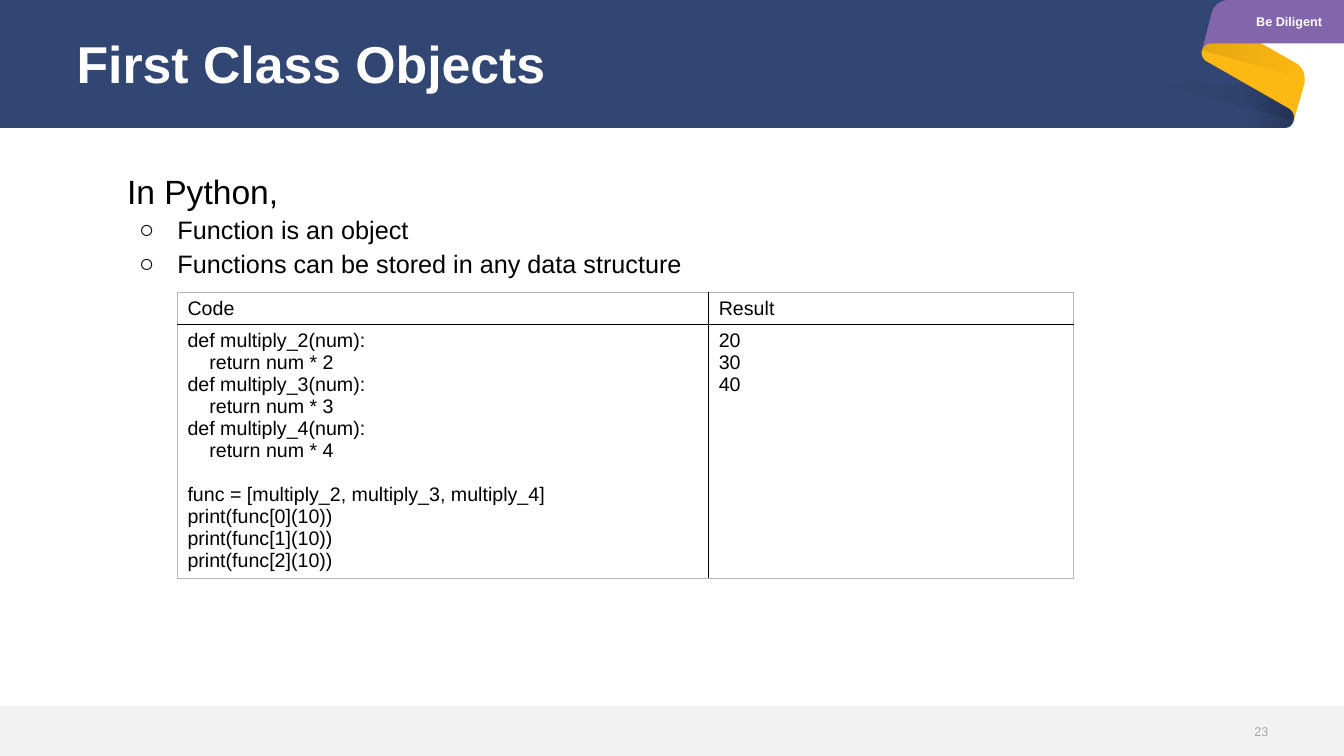
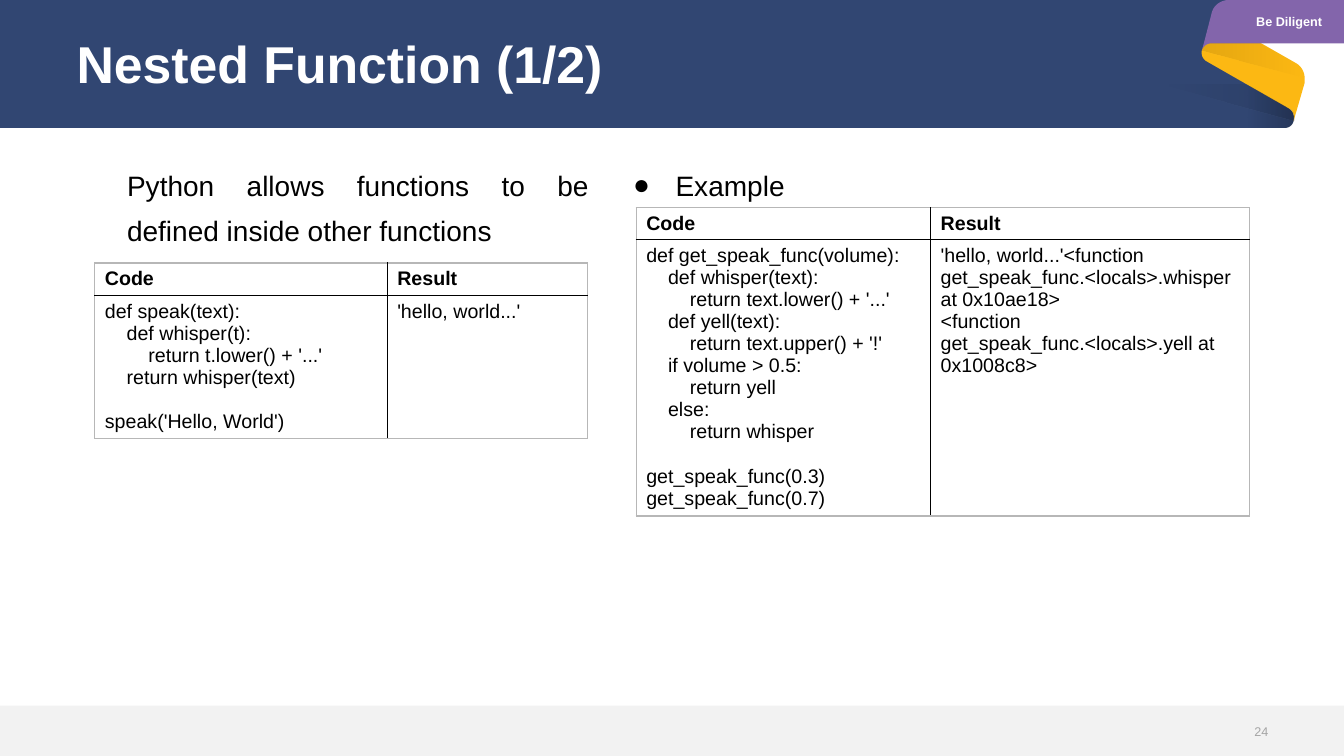
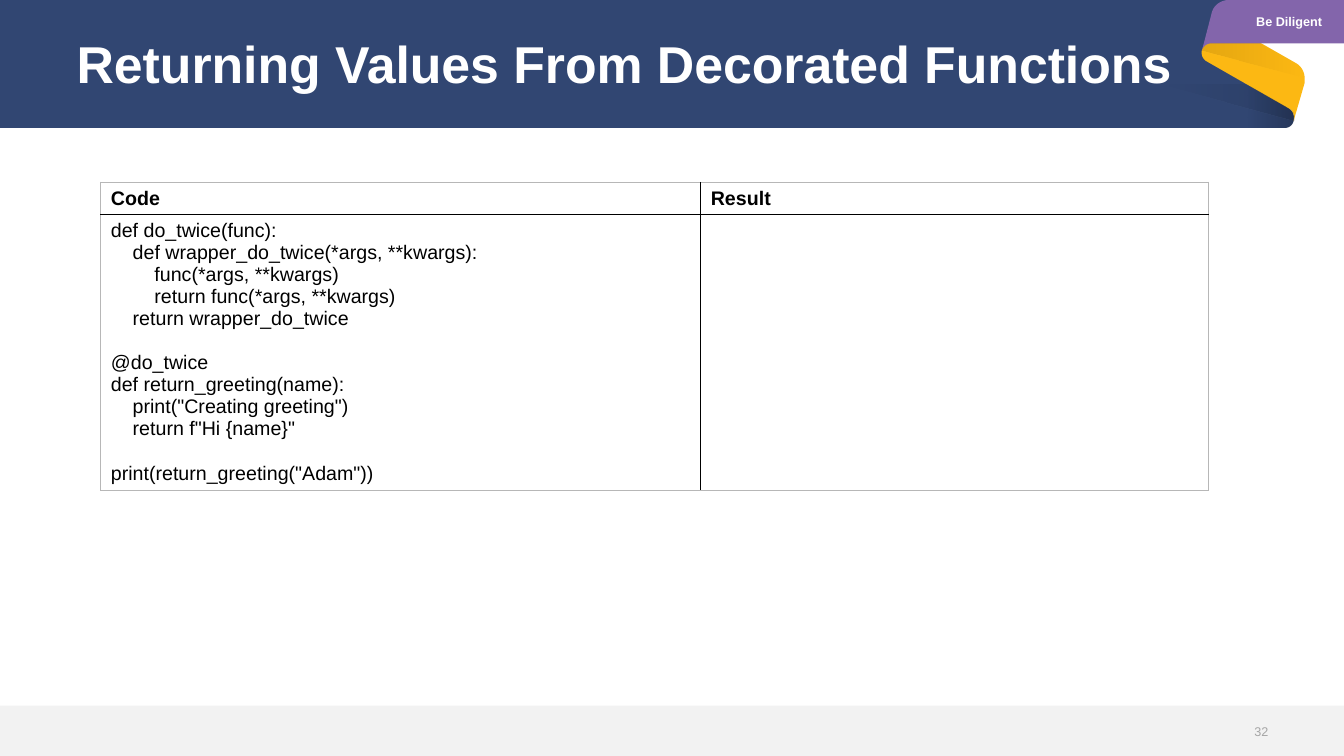
import pptx
import pptx.util
import pptx.oxml
import pptx.oxml.ns
import pptx.dml.color
import pptx.enum.text
import pptx.enum.shapes

Inches = pptx.util.Inches
Pt = pptx.util.Pt
ALIGN = pptx.enum.text.PP_ALIGN
MIDDLE = pptx.enum.text.MSO_ANCHOR.MIDDLE
TOP = pptx.enum.text.MSO_ANCHOR.TOP
FONT = "Arial"
HUE = {
    "navy": "314672", "gold": "FCB813", "plum": "8365AB", "foot": "F2F2F2",
    "white": "FFFFFF", "ink": "000000", "page": "A5A5A5", "edge": "B7B7B7",
}
TITLE = (0.76, 0.06, 11.81, 1.2)
BODY = (0.76, 1.56, 11.81, 5.19)
LEFT = (0.76, 1.56, 5.08, 5.19)
RIGHT = (6.2, 1.56, 5.08, 5.19)
FOOT = (0, 7, 13.33, 0.5)
TAG = (12.24, 0, 1.09, 0.43)
PAGE = (11.95, 7.13, 0.63, 0.26)
CODE = 14
TAB = 0.216
LINE = 0.22
PAD = 0.1

CURL = (12.83, 1.11, 12.84, 1.15, 12.83, 1.2)
FOLD = (12.94, 0.72, 12.91, 0.66, 12.86, 0.63)
RIBBON = [
    ("navy", [(0, 0), (12.43, 0), (12.43, 0.72), (12.79, 1.08), CURL,
              (12.82, 1.24, 12.79, 1.27, 12.74, 1.27), (0, 1.27)]),
    ("gold", [(11.97, 0.61), (12.79, 1.08), CURL, (12.94, 0.82),
              (12.94, 0.78), FOLD, (12.44, 0.39), (12.02, 0.41),
              (11.97, 0.41, 11.93, 0.46, 11.92, 0.5),
              (11.91, 0.54, 11.93, 0.59, 11.97, 0.61)]),
    ("plum", [(11.92, 0.5), (11.93, 0.46, 11.97, 0.43, 12.02, 0.43),
              (13.34, 0.43), (13.34, 0), (12.19, 0),
              (12.11, 0, 12.04, 0.05, 12.02, 0.12), (11.94, 0.43)]),
    ((20, 180), [(12.37, 0.84), (12.37, 1.27), (12.74, 1.27),
                 (12.79, 1.27, 12.82, 1.24, 12.83, 1.2),
                 (12.84, 1.15, 12.83, 1.11, 12.79, 1.08)]),
    ((10, 180), [(11.52, 0.84), (12.83, 1.2),
                 (12.84, 1.15, 12.83, 1.11, 12.79, 1.08), (12.37, 0.84)]),
    ((10, 0), [(11.92, 0.5), (12.94, 0.77), FOLD, (12.5, 0.43),
               (12.02, 0.43), (11.97, 0.43, 11.93, 0.46, 11.92, 0.5)]),
]

KINDS = {
    "lead": dict(size=24, left=0.5, line=1.33, align=ALIGN.JUSTIFY),
    "text": dict(size=20, left=0.5, line=1.33, align=ALIGN.JUSTIFY),
    "dot": dict(size=20, left=0.5, hang=-0.42, line=1.33, mark="●",
                align=ALIGN.JUSTIFY),
    "ring": dict(size=18, left=1, hang=-0.38, line=0.9, before=5, mark="○",
                 level=1),
}

SLIDES = [
    {
        "title": "First Class Objects", "page": "23", "layout": 1,
        "lists": [(BODY, [("lead", "In Python,"),
                          ("ring", "Function is an object"),
                          ("ring", "Functions can be stored in any data structure")])],
        "tables": [{"at": (1.76, 2.9), "cols": (5.27, 3.62), "bold": False, "code": """\
def multiply_2(num):
    return num * 2
def multiply_3(num):
    return num * 3
def multiply_4(num):
    return num * 4

func = [multiply_2, multiply_3, multiply_4]
print(func[0](10))
print(func[1](10))
print(func[2](10))""", "result": "20\n30\n40"}],
    },
    {
        "title": "Nested Function (1/2)", "page": "24", "layout": 3,
        "lists": [(LEFT, [("text", "Python allows functions to be defined inside other functions")]),
                  (RIGHT, [("dot", "Example")])],
        "tables": [{"at": (0.94, 2.61), "cols": (2.9, 1.99), "bold": True, "code": """\
def speak(text):
    def whisper(t):
        return t.lower() + '...'
    return whisper(text)

speak('Hello, World')""", "result": "'hello, world...'"},
                   {"at": (6.31, 2.06), "cols": (2.92, 3.16), "bold": True, "code": """\
def get_speak_func(volume):
    def whisper(text):
        return text.lower() + '...'
    def yell(text):
        return text.upper() + '!'
    if volume > 0.5:
        return yell
    else:
        return whisper

get_speak_func(0.3)
get_speak_func(0.7)""", "result": """\
'hello, world...'<function get_speak_func.<locals>.whisper at 0x10ae18>
<function get_speak_func.<locals>.yell at 0x1008c8>"""}],
    },
    {
        "title": "Returning Values From Decorated Functions", "page": "32", "layout": 5,
        "lists": [],
        "tables": [{"at": (1, 1.81), "cols": (5.95, 5.04), "bold": True, "code": """\
def do_twice(func):
    def wrapper_do_twice(*args, **kwargs):
        func(*args, **kwargs)
        return func(*args, **kwargs)
    return wrapper_do_twice

@do_twice
def return_greeting(name):
    print("Creating greeting")
    return f"Hi {name}"

print(return_greeting("Adam"))""", "result": ""}],
    },
]


def color(name):
    return pptx.dml.color.RGBColor.from_string(HUE[name])


def node(xml):
    head, tail = xml.split(" ", 1)
    return pptx.oxml.parse_xml(f"{head} {pptx.oxml.ns.nsdecls('a')} {tail}")


def place(shape, box):
    shape.left, shape.top, shape.width, shape.height = map(Inches, box)


def frame(shape, anchor):
    area = shape.text_frame
    area.word_wrap = True
    area.auto_size = pptx.enum.text.MSO_AUTO_SIZE.NONE
    area.vertical_anchor = anchor
    area.margin_left = area.margin_right = 0
    area.margin_top = area.margin_bottom = 0
    return area


def write(para, text, size, hue="ink", bold=False, align=ALIGN.LEFT, left=0,
          hang=0, line=1, before=0, mark=None, level=0):
    para.level = level
    para.alignment = align
    para.line_spacing = line
    para.space_before = Pt(before)
    props = para._p.get_or_add_pPr()
    props.set("marL", str(Inches(left)))
    props.set("indent", str(Inches(hang)))
    if mark:
        props.append(node(f'<a:buClr ><a:srgbClr val="{HUE[hue]}"/></a:buClr>'))
        props.append(node(f'<a:buFont typeface="{FONT}"/>'))
        props.append(node(f'<a:buChar char="{mark}"/>'))
    else:
        props.append(node("<a:buNone />"))
    run = para.add_run()
    run.text = text
    run.font.name = FONT
    run.font.size = Pt(size)
    run.font.bold = bold
    run.font.color.rgb = color(hue)


def label(slide, box, text, **look):
    shape = slide.shapes.add_textbox(*map(Inches, box))
    write(frame(shape, MIDDLE).paragraphs[0], text, 9, **look)
    return shape


def trace(points, steps=8):
    spots = [points[0]]
    for point in points[1:]:
        if len(point) == 2:
            spots.append(point)
            continue
        knots = [spots[-1], point[:2], point[2:4], point[4:]]
        for step in range(1, steps + 1):
            t = step / steps
            rates = ((1 - t) ** 3, 3 * t * (1 - t) ** 2, 3 * t * t * (1 - t), t ** 3)
            spots.append(tuple(sum(r * k[axis] for r, k in zip(rates, knots))
                               for axis in (0, 1)))
    return [(Inches(x), Inches(y)) for x, y in spots]


def paint(shape, fill):
    shape.shadow.inherit = False
    shape.line.fill.background()
    if isinstance(fill, str):
        shape.fill.solid()
        shape.fill.fore_color.rgb = color(fill)
        return
    shape.fill.background()
    dark, angle = fill
    stops = "".join(
        f'<a:gs pos="{pos}"><a:srgbClr val="{HUE["ink"]}">'
        f'<a:alpha val="{alpha * 1000}"/></a:srgbClr></a:gs>'
        for pos, alpha in ((0, dark), (100000, 0)))
    blend = node(f'<a:gradFill rotWithShape="1"><a:gsLst>{stops}</a:gsLst>'
                 f'<a:lin ang="{angle * 60000}" scaled="0"/></a:gradFill>')
    blank = shape.element.spPr.find(pptx.oxml.ns.qn("a:noFill"))
    blank.getparent().replace(blank, blend)


def dress(master, slide):
    parts = []
    for fill, points in RIBBON:
        spots = trace(points)
        pen = slide.shapes.build_freeform(*spots[0], scale=1.0)
        pen.add_line_segments(spots[1:], close=True)
        shape = pen.convert_to_shape()
        paint(shape, fill)
        parts.append(shape)
    foot = slide.shapes.add_shape(pptx.enum.shapes.MSO_SHAPE.RECTANGLE,
                                  *map(Inches, FOOT))
    foot.width = Inches(13.34)
    paint(foot, "foot")
    parts.append(foot)
    parts.append(label(slide, TAG, "Be Diligent", hue="white", bold=True,
                       align=ALIGN.CENTER))
    for count, shape in enumerate(parts):
        shape.element.nvSpPr.cNvPr.set("id", str(100 + count))
        master.shapes.element.append(shape.element)


def border(cell, sides):
    props = cell._tc.get_or_add_tcPr()
    for spot, (side, hue) in enumerate(zip("LRTB", sides)):
        props.insert(spot, node(
            f'<a:ln{side} w="{Pt(1)}"><a:solidFill><a:srgbClr val="{HUE[hue]}"/>'
            f'</a:solidFill></a:ln{side}>'))


def fill(cell, text, bold):
    area = cell.text_frame
    para, gap = area.paragraphs[0], 0
    for line in text.splitlines():
        bare = line.lstrip()
        if not bare:
            gap = LINE * 72
            continue
        if para.runs:
            para = area.add_paragraph()
        depth = (len(line) - len(bare)) // 4
        write(para, bare, CODE, bold=bold, left=depth * TAB, before=gap)
        gap = 0


def grid(slide, data):
    rows = [("Code", "Result"), (data["code"], data["result"])]
    highs = [PAD + LINE * len(row[0].splitlines()) for row in rows]
    box = (*data["at"], sum(data["cols"]), sum(highs))
    table = slide.shapes.add_table(2, 2, *map(Inches, box)).table
    table.first_row = table.horz_banding = False
    for column, wide in zip(table.columns, data["cols"]):
        column.width = Inches(wide)
    for r, row in enumerate(rows):
        table.rows[r].height = Inches(highs[r])
        for c, text in enumerate(row):
            cell = table.cell(r, c)
            cell.fill.background()
            fill(cell, text, data["bold"] and r == 0)
            border(cell, ("ink" if c else "edge", "edge" if c else "ink",
                          "ink" if r else "edge", "edge" if r else "ink"))


def build(slide, data):
    write(frame(slide.shapes.title, MIDDLE).paragraphs[0], data["title"], 37,
          hue="white", bold=True, line=0.9)
    bodies = [p for p in slide.placeholders if p.placeholder_format.idx]
    for shape, (box, items) in zip(bodies, data["lists"]):
        place(shape, box)
        area = frame(shape, TOP)
        for count, (kind, text) in enumerate(items):
            para = area.add_paragraph() if count else area.paragraphs[0]
            write(para, text, **KINDS[kind])
    label(slide, PAGE, data["page"], hue="page", align=ALIGN.RIGHT)
    for item in data["tables"]:
        grid(slide, item)


def main():
    deck = pptx.Presentation()
    deck.slide_width, deck.slide_height = Inches(13.33), Inches(7.5)
    master = deck.slide_master
    for shape, box in zip(master.placeholders, (TITLE, BODY)):
        place(shape, box)
    for count, data in enumerate(SLIDES):
        slide = deck.slides.add_slide(deck.slide_layouts[data["layout"]])
        if not count:
            dress(master, slide)
        build(slide, data)
    deck.save("out.pptx")


if __name__ == "__main__":
    main()
